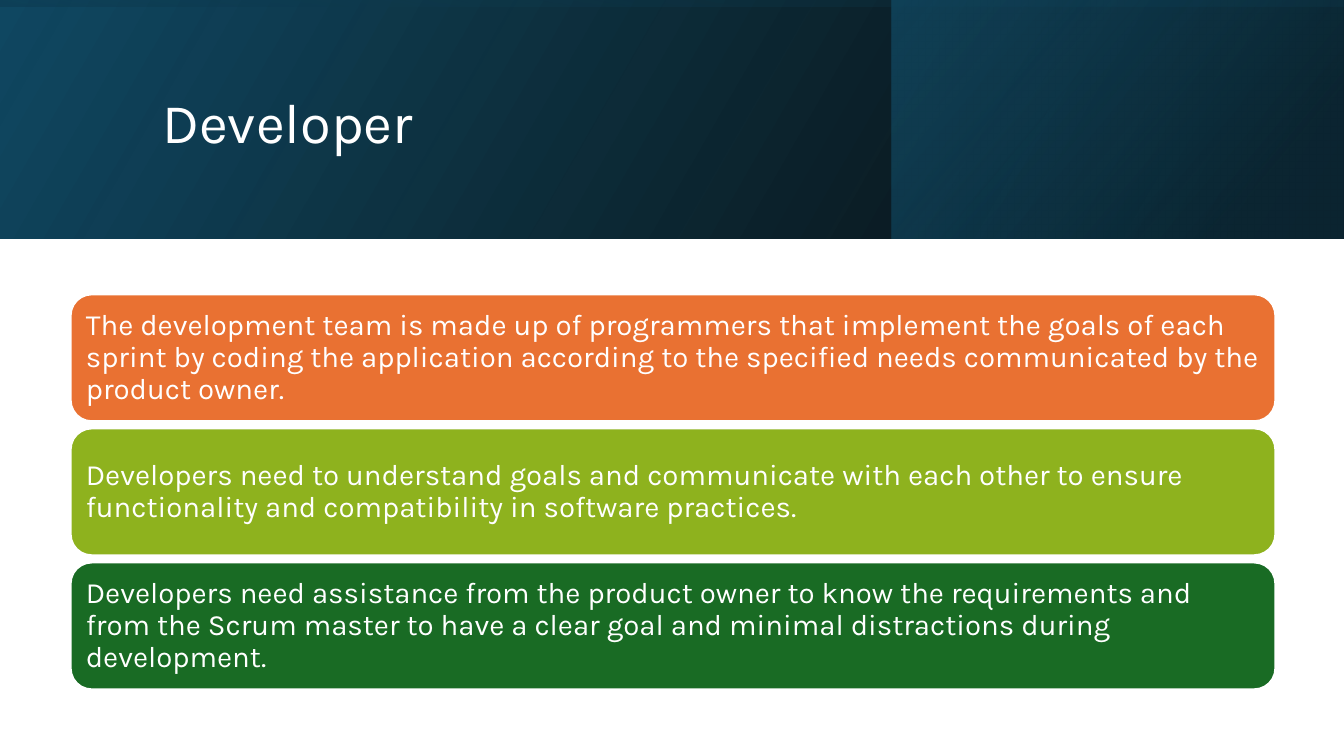
from dataclasses import dataclass

from lxml.etree import SubElement
from pptx import Presentation
from pptx.dml.color import RGBColor
from pptx.enum.shapes import MSO_SHAPE
from pptx.enum.text import MSO_ANCHOR, PP_ALIGN
from pptx.oxml.ns import qn
from pptx.util import Inches, Pt


@dataclass(frozen=True)
class Theme:
    font: str = "Karla"
    white: str = "FFFFFF"
    black: str = "000000"
    navy: str = "104862"
    deep: str = "0B3041"
    teal: str = "156082"
    orange: str = "E97132"
    lime: str = "8EB21E"
    green: str = "196B24"
    title: int = 40
    body: int = 21


theme = Theme()


def write(shape, text, size, color=theme.white, inset=0.1):
    frame = shape.text_frame
    frame.word_wrap = True
    frame.vertical_anchor = MSO_ANCHOR.MIDDLE
    frame.margin_left = frame.margin_right = Inches(inset)
    frame.margin_top = frame.margin_bottom = Inches(0.05)
    para = frame.paragraphs[0]
    para.alignment = PP_ALIGN.LEFT
    para.line_spacing = 0.9
    run = para.add_run()
    run.text = text
    run.font.name = theme.font
    run.font.size = Pt(size)
    run.font.color.rgb = RGBColor.from_string(color)


deck = Presentation()
deck.slide_width, deck.slide_height = Inches(13.33), Inches(7.5)
slide = deck.slides.add_slide(deck.slide_layouts[5])
shapes = slide.shapes

# Header: three layered gradients, stops as (position, color, opacity %)
bands = [
    ((0, 0, 13.33, 2.37), 0, 330,
     [(0, theme.black, 96), (1, theme.navy, 100)]),
    ((8.84, 0, 4.48, 2.37), 0, 320,
     [(0.19, theme.deep, 68), (1, theme.teal, 48)]),
    ((5.48, -5.48, 2.37, 13.33), 270, 350,
     [(0.23, theme.navy, 16), (0.99, theme.black, 45)]),
]
for box, turn, angle, stops in bands:
    band = shapes.add_shape(MSO_SHAPE.RECTANGLE, *map(Inches, box))
    band.shadow.inherit = False
    band.line.fill.background()
    band.rotation = turn
    props = band._element.spPr
    props.find(qn("a:xfrm")).set("flipH", "1")
    band.fill.gradient()
    band.fill.gradient_angle = 360 - angle
    for stop, (place, color, alpha) in zip(band.fill.gradient_stops, stops):
        stop.position = place
        stop.color.rgb = RGBColor.from_string(color)
    for node, (place, color, alpha) in zip(props.iter(qn("a:srgbClr")), stops):
        SubElement(node, qn("a:alpha")).set("val", str(alpha * 1000))

# Title, brought in front of the header
title = shapes.title
title.left, title.top = Inches(1.51), Inches(0.38)
title.width, title.height = Inches(10.63), Inches(1.72)
write(title, "Developer", theme.title)
shapes._spTree.append(title._element)

# Cards
cards = [
    (theme.orange, "The development team is made up of programmers that implement the goals of each sprint by coding the application according to the specified needs communicated by the product owner."),
    (theme.lime, "Developers need to understand goals and communicate with each other to ensure functionality and compatibility in software practices."),
    (theme.green, "Developers need assistance from the product owner to know the requirements and from the Scrum master to have a clear goal and minimal distractions during development."),
]
for row, (color, text) in enumerate(cards):
    card = shapes.add_shape(MSO_SHAPE.ROUNDED_RECTANGLE, Inches(0.7),
                            Inches(2.92 + 1.33 * row), Inches(11.95), Inches(1.26))
    card.shadow.inherit = False
    card.fill.solid()
    card.fill.fore_color.rgb = RGBColor.from_string(color)
    card.line.color.rgb = RGBColor.from_string(theme.white)
    card.line.width = Pt(1.5)
    write(card, text, theme.body, inset=0.09)

deck.save("out.pptx")
